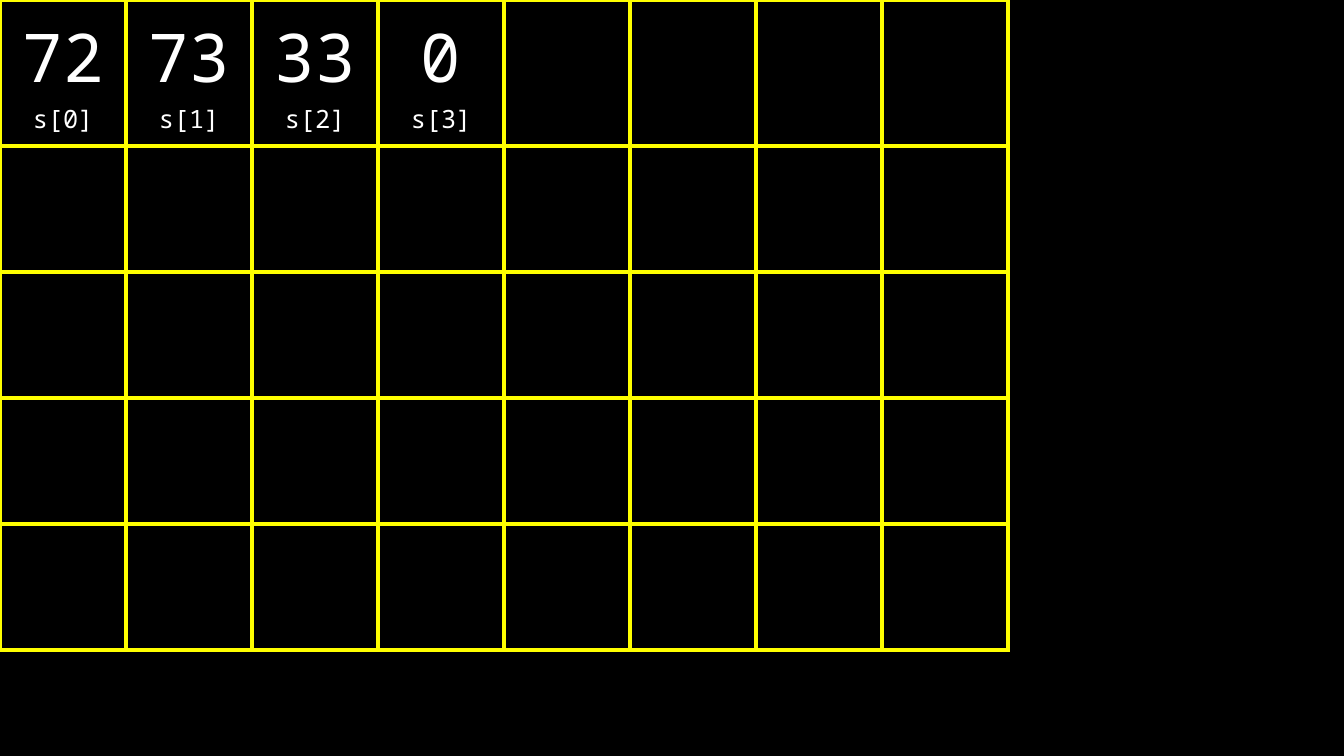
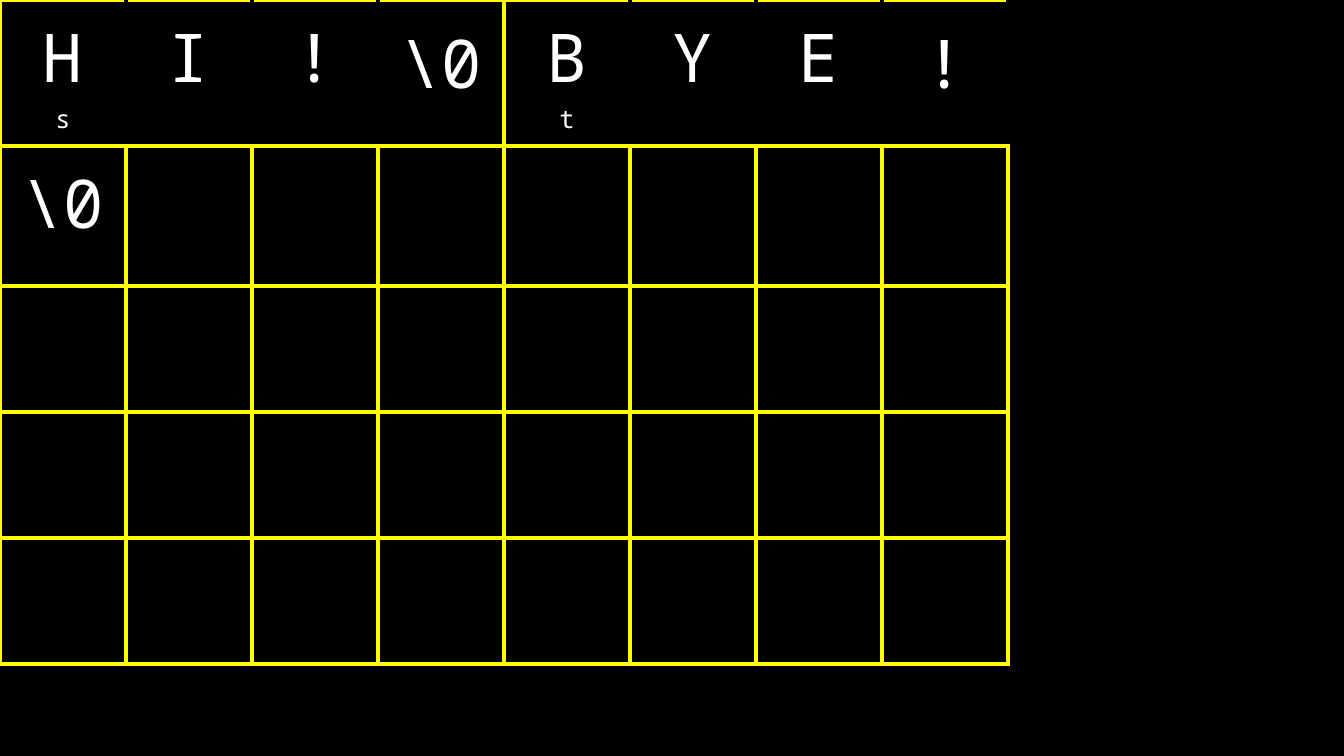
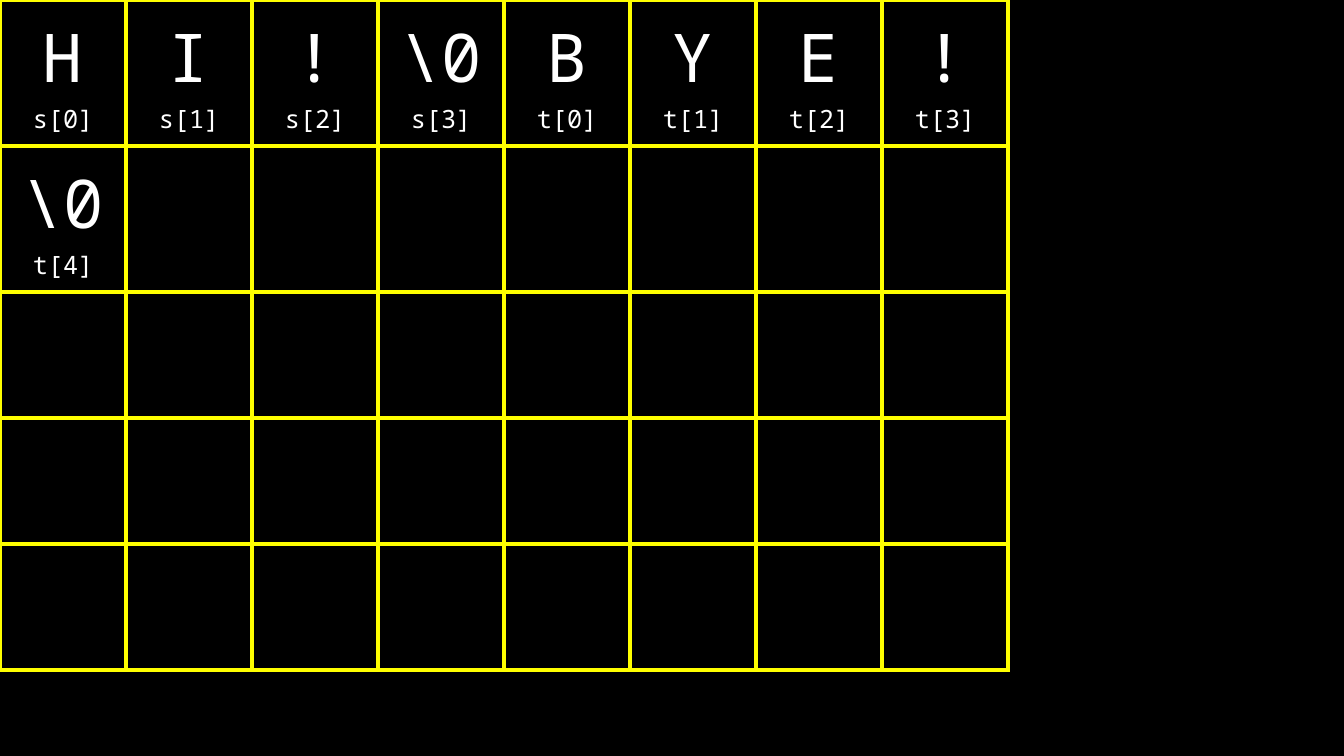
from lxml import etree
from pptx import Presentation
from pptx import util as u
from pptx.dml.color import RGBColor
from pptx.enum import text
from pptx.oxml.ns import qn

PX = 12192000 / 1344


def px(n):
    """Turn px into EMU."""
    return u.Emu(round(n * PX))


def rgb(code):
    """Turn a hex string into a colour."""
    return RGBColor.from_string(code)


class Deck:
    """Holds the memory-grid style and the current slide."""
    BLACK, WHITE, YELLOW = "000000", "FFFFFF", "FFFF00"
    FONT = "Noto Sans Mono"
    COLS, CELL, INSET, BORDER = 8, 126, 10, 3
    LABELLED, SHORT = 146, 140
    LABEL_GAP, EMPTY_GAP = 34, 28

    def __init__(self):
        """Start a black widescreen deck."""
        self.prs = Presentation()
        self.prs.slide_width, self.prs.slide_height = px(1344), px(756)
        fill = self.prs.slide_master.background.fill
        fill.solid()
        fill.fore_color.rgb = rgb(self.BLACK)

    def slide(self):
        """Add a blank slide."""
        self.s = self.prs.slides.add_slide(self.prs.slide_layouts[6])

    def borders(self, cell, colours):
        """Draw the left, right, top and bottom borders of a cell."""
        pr = cell._tc.get_or_add_tcPr()
        for i, (side, colour) in enumerate(zip("LRTB", colours)):
            ln = etree.Element(qn(f"a:ln{side}"), w=str(u.Pt(self.BORDER)))
            fill = etree.SubElement(ln, qn("a:solidFill"))
            etree.SubElement(fill, qn("a:srgbClr"), val=colour)
            pr.insert(i, ln)

    def byte(self, cell, value, label):
        """Put a value and its label in a cell, or keep the label's room free."""
        cell.vertical_anchor = text.MSO_ANCHOR.BOTTOM
        if not label:
            gap = self.EMPTY_GAP if label is None else self.LABEL_GAP
            cell.margin_bottom = px(self.INSET + gap)
        tf = cell.text_frame
        tf.text = f"{value}\n{label}" if label else value
        for p, size in zip(tf.paragraphs, (48, 18)):
            p.alignment = text.PP_ALIGN.CENTER
            font = p.runs[0].font
            font.name, font.size = self.FONT, u.Pt(size)
            font.color.rgb = rgb(self.WHITE)

    def memory(self, heights, values, labels, open_after=()):
        """Add a grid of bytes; open_after lists first-row columns with no divider."""
        frame = self.s.shapes.add_table(len(heights), self.COLS, 0, 0,
                                        px(self.COLS * self.CELL), px(sum(heights)))
        table = frame.table
        table.first_row = table.horz_banding = False
        for col in table.columns:
            col.width = px(self.CELL)
        for row, height in zip(table.rows, heights):
            row.height = px(height)
        for i, cell in enumerate(table.iter_cells()):
            cell.fill.background()
            cell.margin_left = cell.margin_right = px(self.INSET)
            cell.margin_top = cell.margin_bottom = px(self.INSET)
            first = i < self.COLS
            left, right = (self.BLACK if first and edge in open_after else self.YELLOW
                           for edge in (i - 1, i))
            self.borders(cell, (left, right, self.YELLOW, self.YELLOW))
            if i < len(values):
                self.byte(cell, values[i], labels[i])


def main():
    """Build the three memory slides."""
    deck = Deck()
    tall, short, cell = deck.LABELLED, deck.SHORT, deck.CELL
    s_index = [f"s[{i}]" for i in range(4)]
    t_index = [f"t[{i}]" for i in range(5)]
    chars = ["H", "I", "!", "\\0", "B", "Y", "E", "!", "\\0"]

    deck.slide()
    deck.memory([tall] + [cell] * 4, ["72", "73", "33", "0"], s_index)

    deck.slide()
    deck.memory([tall, short] + [cell] * 3, chars,
                ["s", "", "", None, "t", "", "", None, None],
                open_after=(0, 1, 2, 4, 5, 6, 7))

    deck.slide()
    deck.memory([tall] * 2 + [cell] * 3, chars, s_index + t_index)

    deck.prs.save("out.pptx")


if __name__ == "__main__":
    main()
